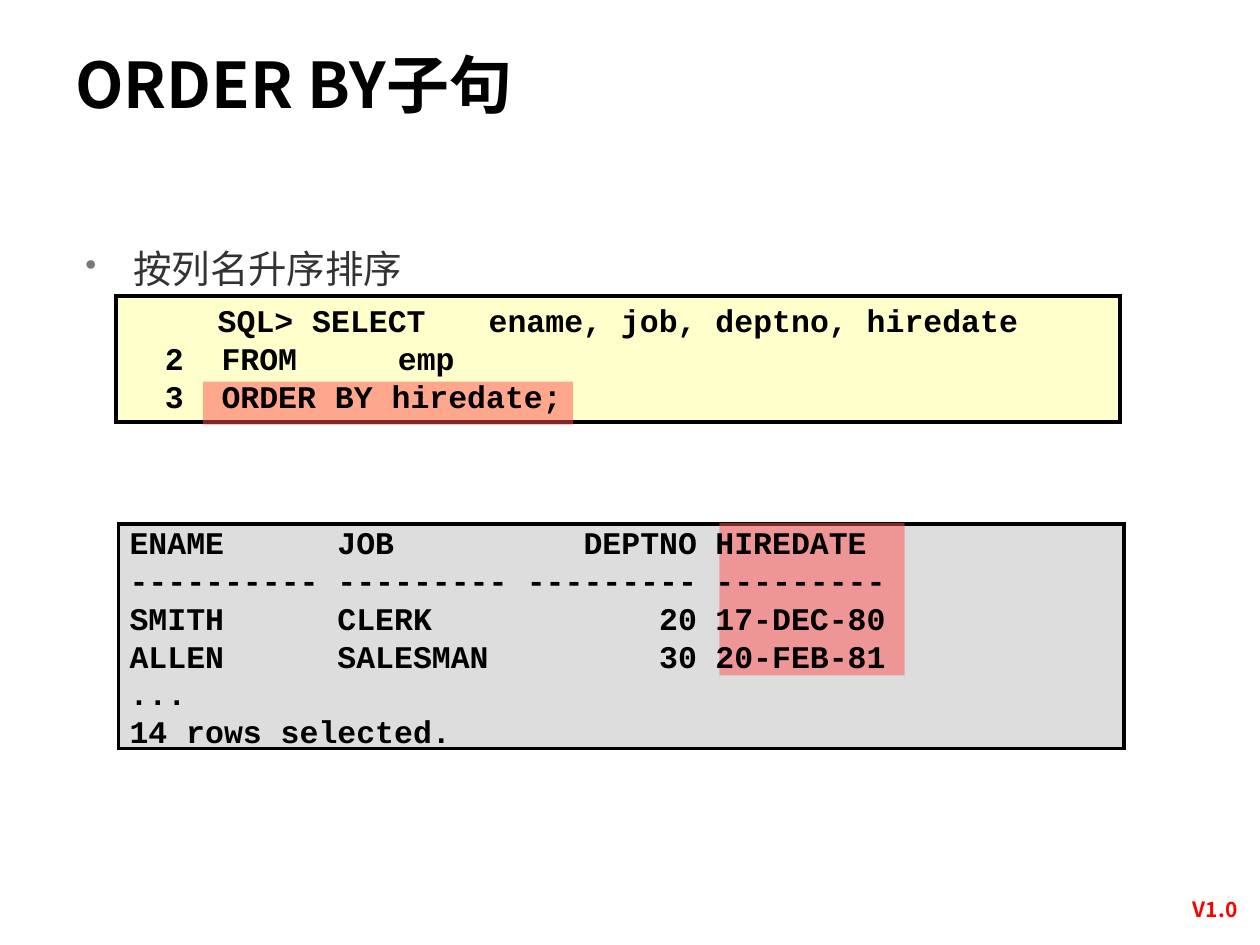
from lxml.etree import SubElement
from pptx import Presentation
from pptx.dml.color import RGBColor
from pptx.enum.shapes import MSO_SHAPE
from pptx.enum.text import PP_ALIGN
from pptx.oxml.ns import qn
from pptx.util import Inches, Pt

BLACK = RGBColor(0x00, 0x00, 0x00)
DARK = RGBColor(0x33, 0x33, 0x33)
RED = RGBColor(0xFF, 0x00, 0x00)
CREAM = RGBColor(0xFF, 0xFF, 0xCC)
GRAY = RGBColor(0xDD, 0xDD, 0xDD)
CORAL = RGBColor(0xFF, 0x50, 0x50)
SANS, MONO = "Noto Sans CJK SC", "Courier New"
CHAR, ROW = 0.15, 0.3  # monospaced character width and row height, inches

prs = Presentation()
prs.slide_width, prs.slide_height = Inches(10), Inches(7.5)
s = prs.slides.add_slide(prs.slide_layouts[6])


def add_text(box, lines, font, size, color, bold=True, align=PP_ALIGN.LEFT):
    tf = s.shapes.add_textbox(*map(Inches, box)).text_frame
    tf.word_wrap = True
    for i, line in enumerate(lines):
        p = tf.paragraphs[0] if i == 0 else tf.add_paragraph()
        p.alignment = align
        r = p.add_run()
        r.text = line
        r.font.name, r.font.size, r.font.bold = font, Pt(size), bold
        r.font.color.rgb = color
        SubElement(r.font._element, qn("a:ea"), typeface=font)
    return tf


def add_code(left, top, chars, lines, align=PP_ALIGN.LEFT):
    # The box is wider than its text by both side insets
    box = (left, top, (chars + 1) * CHAR + 0.2, len(lines) * ROW + 0.1)
    if align == PP_ALIGN.RIGHT:
        box = (left - CHAR, *box[1:])
    for p in add_text(box, lines, MONO, 18, BLACK, align=align).paragraphs:
        p.line_spacing = Pt(21.7)


# Version mark
add_text((9.25, 7.07, 0.79, 0.3), ["V1.0"], SANS, 12, RED, align=PP_ALIGN.CENTER)

# Code and result panels, then the highlights over them
for box, color, outlined in [
    ((0.92, 2.35, 7.97, 1), CREAM, True),
    ((0.94, 4.16, 7.98, 1.78), GRAY, True),
    ((1.61, 3.03, 2.94, 0.34), CORAL, False),
    ((5.71, 4.15, 1.47, 1.21), CORAL, False),
]:
    sp = s.shapes.add_shape(MSO_SHAPE.RECTANGLE, *map(Inches, box))
    sp.shadow.inherit = False
    sp.fill.solid()
    sp.fill.fore_color.rgb = color
    if outlined:
        sp.line.color.rgb, sp.line.width = BLACK, Pt(2)
        SubElement(sp.line._get_or_add_ln(), qn("a:miter"), lim="800000")
    else:
        sp.line.fill.background()
        fill = sp.fill._xPr.find(qn("a:solidFill"))
        SubElement(fill[0], qn("a:alpha"), val="50000")

# SQL statement: left edge, first row, lines
for left, row, lines in [
    (1.63, 0, ["SQL> SELECT"]),
    (3.78, 0, ["ename, job, deptno, hiredate"]),
    (1.21, 1, ["2", "3"]),
    (1.66, 1, ["FROM", "ORDER BY hiredate;"]),
    (3.06, 1, ["emp"]),
]:
    add_code(left, 2.34 + row * ROW, max(map(len, lines)), lines)

# Query result: first character, width in characters, alignment, lines
for start, chars, align, lines in [
    (0, 10, PP_ALIGN.LEFT, ["ENAME", "-" * 10, "SMITH", "ALLEN"]),
    (11, 9, PP_ALIGN.LEFT, ["JOB", "-" * 9, "CLERK", "SALESMAN"]),
    (21, 9, PP_ALIGN.RIGHT, ["DEPTNO", "-" * 9, "20", "30"]),
    (31, 9, PP_ALIGN.LEFT, ["HIREDATE", "-" * 9, "17-DEC-80", "20-FEB-81"]),
]:
    add_code(0.93 + start * CHAR, 4.1, chars, lines, align)
add_code(0.93, 4.1 + 4 * ROW, 17, ["...", "14 rows selected."])

# Bullet
tf = add_text((0.58, 1.75, 4.5, 0.5), ["按列名升序排序"], SANS, 22, DARK, bold=False)
p = tf.paragraphs[0]
p.line_spacing = 1.4
pPr = p._p.get_or_add_pPr()
pPr.set("marL", str(Inches(0.38)))
pPr.set("indent", str(-Inches(0.38)))
SubElement(SubElement(pPr, qn("a:buClr")), qn("a:srgbClr"), val="777777")
SubElement(pPr, qn("a:buSzPct"), val="85000")
SubElement(pPr, qn("a:buChar"), char="•")

# Title
add_text((0.5, 0.31, 8.67, 0.77), ["ORDER BY子句"], SANS, 36, BLACK)

prs.save("out.pptx")
